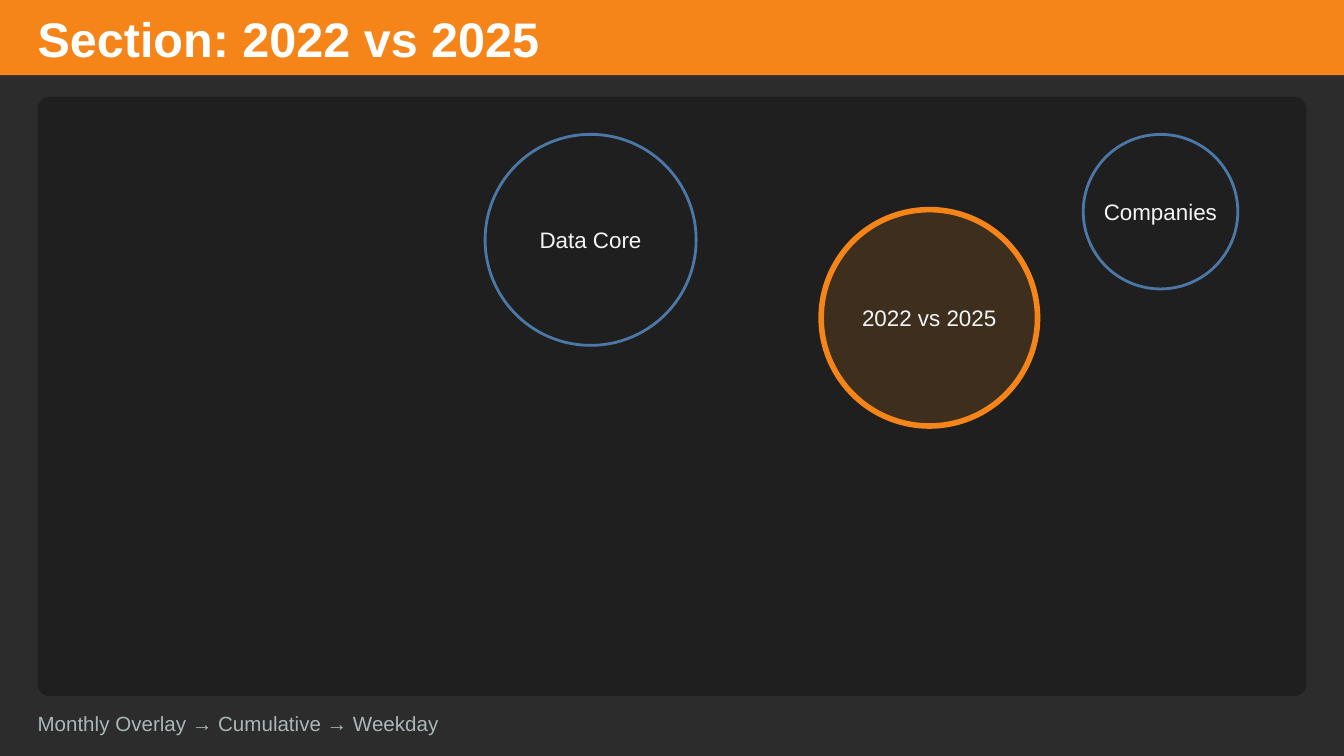
from dataclasses import dataclass

from lxml.etree import SubElement
from pptx import Presentation
from pptx.dml.color import RGBColor
from pptx.enum.shapes import MSO_SHAPE
from pptx.enum.text import MSO_ANCHOR, MSO_AUTO_SIZE, PP_ALIGN
from pptx.oxml.ns import qn
from pptx.util import Inches, Pt


@dataclass(frozen=True)
class Theme:
    font: str = "Arial"
    background: str = "2C2C2C"
    panel: str = "1F1F1F"
    accent: str = "F58518"
    outline: str = "4C78A8"
    title: str = "FFFFFF"
    label: str = "F4F6F6"
    muted: str = "AAB7B8"
    title_size: int = 26
    label_size: int = 12
    path_size: int = 11


THEME = Theme()
WIDTH = 10
HEIGHT = WIDTH * 9 / 16
MARGIN = 0.28

# Label, left and top within the panel, diameter, whether it is the current section
SECTIONS = [
    ("2022 vs 2025", 5.83, 0.84, 1.61, True),
    ("Data Core", 3.33, 0.28, 1.57, False),
    ("Companies", 7.78, 0.28, 1.15, False),
]


def colour(value):
    return RGBColor.from_string(value)


def write(frame, text, size, hue, align=PP_ALIGN.LEFT, bold=False):
    """Set one line of text in a frame without insets."""
    frame.margin_left = frame.margin_right = 0
    frame.margin_top = frame.margin_bottom = 0
    frame.auto_size = MSO_AUTO_SIZE.NONE
    frame.vertical_anchor = MSO_ANCHOR.MIDDLE
    paragraph = frame.paragraphs[0]
    paragraph.alignment = align
    run = paragraph.add_run()
    run.text = text
    run.font.name = THEME.font
    run.font.size = Pt(size)
    run.font.bold = bold
    run.font.color.rgb = colour(hue)


def add_plain_shape(slide, preset, left, top, width, height, fill=None):
    shape = slide.shapes.add_shape(
        preset, Inches(left), Inches(top), Inches(width), Inches(height))
    shape.shadow.inherit = False
    shape.line.fill.background()
    if fill:
        shape.fill.solid()
        shape.fill.fore_color.rgb = colour(fill)
    else:
        shape.fill.background()
    return shape


def add_header(slide, left, top, width, height, text):
    band = add_plain_shape(slide, MSO_SHAPE.RECTANGLE, left, top, width, height,
                           THEME.accent)
    title = slide.shapes.title
    title._element.addprevious(band._element)  # the band lies behind the title
    title.left, title.top = Inches(left + MARGIN), Inches(top + 0.08)
    title.width, title.height = Inches(3.81), Inches(0.41)
    title.text_frame.word_wrap = False
    write(title.text_frame, text, THEME.title_size, THEME.title, bold=True)


def add_section_circle(slide, left, top, diameter, label, current):
    circle = add_plain_shape(slide, MSO_SHAPE.OVAL, left, top, diameter, diameter,
                             THEME.accent if current else None)
    if current:
        hue = circle.fill._xPr.find(qn("a:solidFill"))[0]
        SubElement(hue, qn("a:alpha"), val="15000")
    circle.line.color.rgb = colour(THEME.accent if current else THEME.outline)
    circle.line.width = Pt(3 if current else 1.5)
    circle.text_frame.word_wrap = False
    write(circle.text_frame, label, THEME.label_size, THEME.label, PP_ALIGN.CENTER)


def add_section_map(slide, left, top, width, height):
    panel = add_plain_shape(slide, MSO_SHAPE.ROUNDED_RECTANGLE,
                            left, top, width, height, THEME.panel)
    panel.adjustments[0] = 0.02
    for label, x, y, diameter, current in SECTIONS:
        add_section_circle(slide, left + x, top + y, diameter, label, current)


def add_path_line(slide, left, top, width, height, steps):
    box = slide.shapes.add_textbox(
        Inches(left), Inches(top), Inches(width), Inches(height))
    box.text_frame.word_wrap = True
    write(box.text_frame, " → ".join(steps), THEME.path_size, THEME.muted)


def main():
    deck = Presentation()
    deck.slide_width, deck.slide_height = Inches(WIDTH), Inches(HEIGHT)
    slide = deck.slides.add_slide(deck.slide_layouts.get_by_name("Title Only"))
    slide.background.fill.solid()
    slide.background.fill.fore_color.rgb = colour(THEME.background)

    add_header(slide, 0, 0, WIDTH, 0.56, "Section: 2022 vs 2025")
    add_section_map(slide, MARGIN, 0.72, WIDTH - 2 * MARGIN, 4.46)
    add_path_line(slide, MARGIN, 5.3, 9.63, 0.17,
                  ["Monthly Overlay", "Cumulative", "Weekday"])
    deck.save("out.pptx")


if __name__ == "__main__":
    main()
